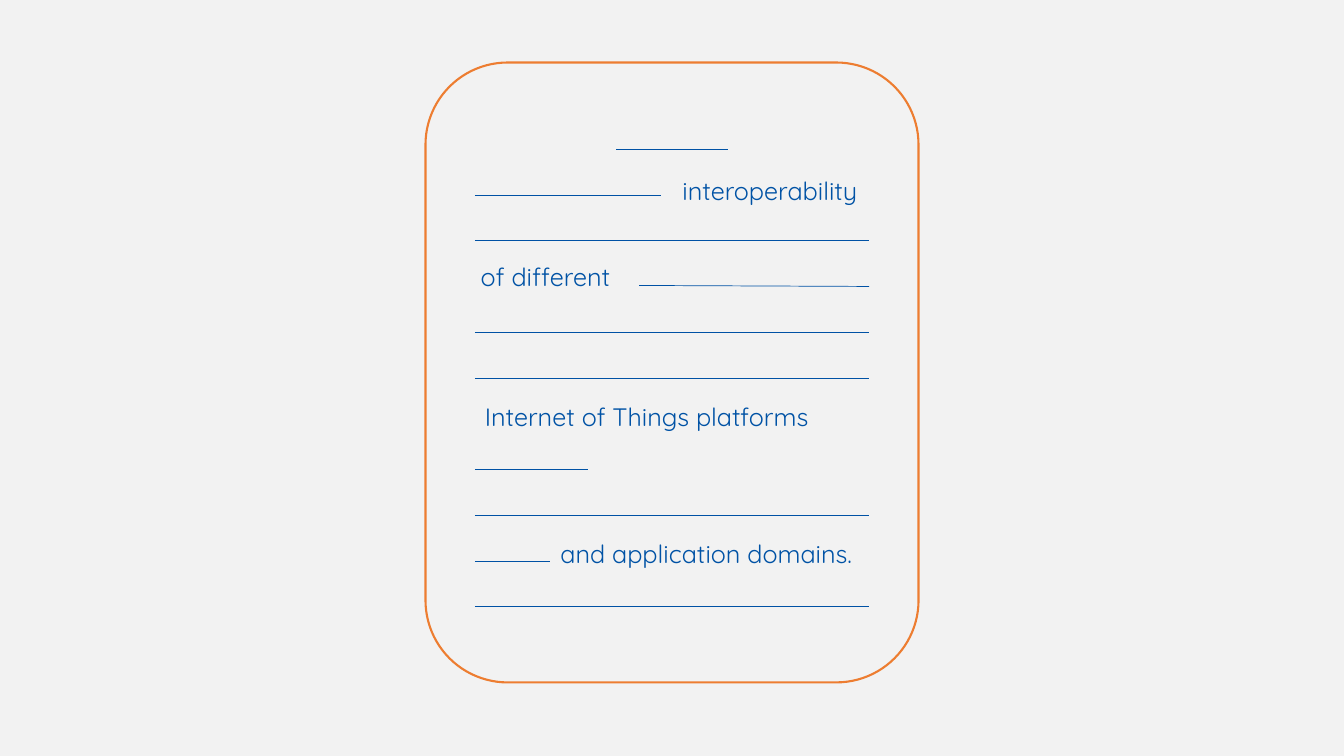
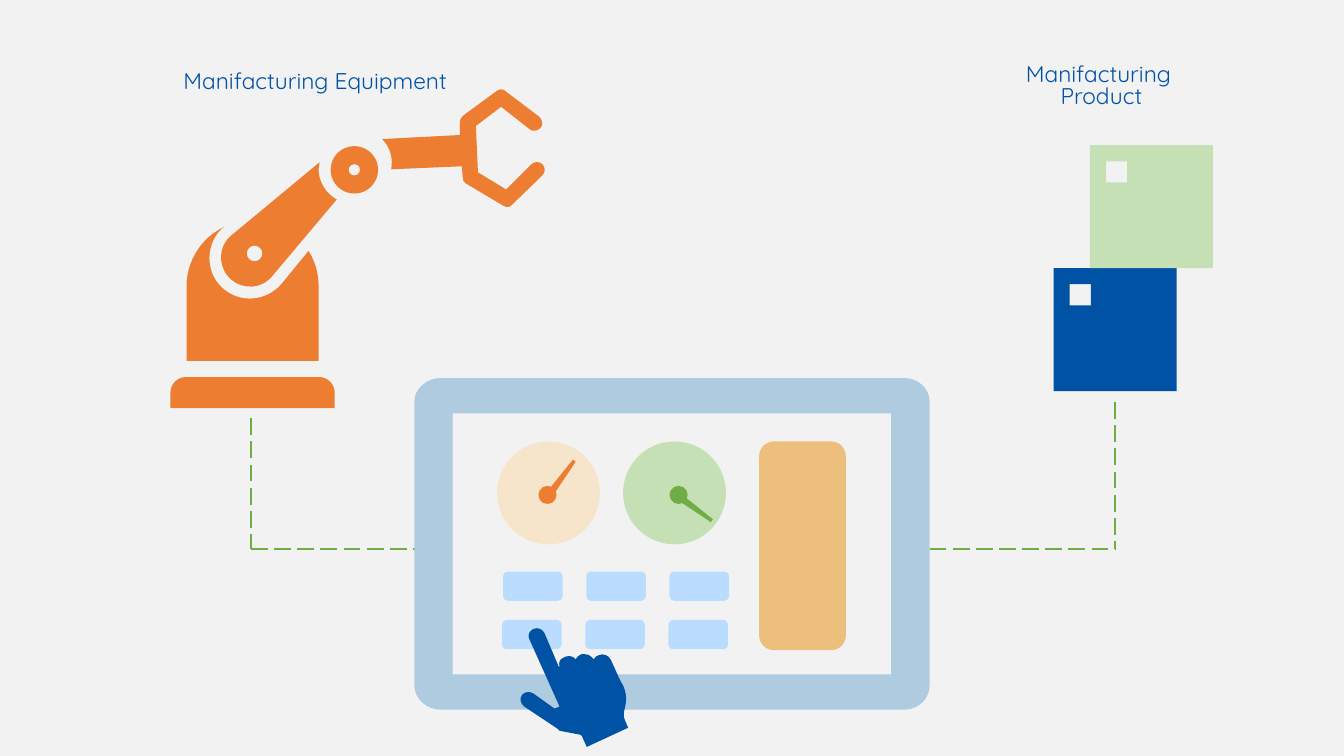
from lxml import etree
from pptx import Presentation
from pptx import util as u
from pptx.dml.color import RGBColor
from pptx.enum import dml, shapes, text
from pptx.oxml import ns

# Shared style
PAPER = RGBColor(0xF2, 0xF2, 0xF2)
BLUE = RGBColor(0x00, 0x52, 0xA5)
ORANGE = RGBColor(0xED, 0x7D, 0x31)
GREEN = RGBColor(0x70, 0xAD, 0x47)
PALE_GREEN = RGBColor(0xC5, 0xE0, 0xB4)
CREAM = RGBColor(0xF7, 0xE5, 0xCB)
SAND = RGBColor(0xEC, 0xBF, 0x7C)
STEEL = RGBColor(0xAF, 0xCB, 0xE0)
SKY = RGBColor(0xBA, 0xDC, 0xFF)
FONT = "Quicksand"
KIND = shapes.MSO_SHAPE

# Slide 1: a page of ruled rows, some partly filled with words
CARD = (4.22, 0.62, 4.89, 6.15)
PAGE_LEFT, PAGE_RIGHT = 4.71, 8.62
FIRST_RULE, RULE_GAP = 1.48, 0.454
RULES = [  # row, left, right, lift of the left end
    (0, 6.11, 7.22, 0), (1, PAGE_LEFT, 6.56, 0),
    (2, PAGE_LEFT, PAGE_RIGHT, 0), (3, 6.34, PAGE_RIGHT, 0.01),
    (4, PAGE_LEFT, PAGE_RIGHT, 0), (5, PAGE_LEFT, PAGE_RIGHT, 0),
    (7, PAGE_LEFT, 5.83, 0), (8, PAGE_LEFT, PAGE_RIGHT, 0),
    (9, PAGE_LEFT, 5.46, 0), (10, PAGE_LEFT, PAGE_RIGHT, 0),
]
PHRASES = [  # words, left, top, width
    ("interoperability", 6.67, 1.69, 2.03),
    ("Internet of Things platforms", 4.71, 3.93, 3.54),
    ("of different", 4.67, 2.54, 1.54),
    ("and application domains.", 5.46, 5.29, 3.54),
]

# Slide 2: equipment and product wired to a control tablet
LABELS = [  # lines, left, top
    (["Manifacturing Equipment"], 1.71, 0.55),
    (["Manifacturing ", "Product"], 9.51, 0.59),
]
WIRES = [  # start, end
    ((2.49, 5.45), (4.32, 5.45)), ((9.22, 5.45), (11.06, 5.45)),
    ((11.06, 3.99), (11.06, 5.45)), ((2.49, 4.15), (2.49, 5.45)),
]
GRIPPER = """M 5.02 .91 C 4.99 .88 4.96 .88 4.93 .9 L 4.59 1.15
 C 4.57 1.17 4.56 1.19 4.56 1.22 L 4.56 1.34 L 3.79 1.38
 C 3.87 1.46 3.9 1.57 3.88 1.68 L 4.58 1.65 L 4.59 1.76
 C 4.59 1.79 4.6 1.81 4.62 1.82 L 4.99 2.04 C 5.02 2.06 5.06 2.06 5.08 2.03
 L 5.38 1.74 C 5.41 1.71 5.41 1.66 5.38 1.63 C 5.35 1.6 5.3 1.6 5.27 1.63
 L 5.02 1.88 L 4.74 1.71 L 4.72 1.25 L 4.97 1.06 L 5.25 1.28
 C 5.28 1.31 5.33 1.3 5.36 1.27 C 5.39 1.24 5.38 1.19 5.35 1.16"""
BODY = """M 3.16 2.84 C 3.16 2.72 3.13 2.6 3.06 2.49 L 2.79 2.82
 C 2.64 2.99 2.39 3.01 2.22 2.87 C 2.05 2.73 2.03 2.47 2.17 2.3
 C 2.18 2.29 2.2 2.27 2.22 2.25 L 2.23 2.25 C 2 2.35 1.85 2.59 1.85 2.84
 L 1.85 3.58 L 3.16 3.58"""
FOREARM = """M 3.16 1.68 C 3.16 1.66 3.17 1.63 3.17 1.61 L 2.29 2.34
 C 2.17 2.44 2.16 2.62 2.26 2.74 C 2.36 2.86 2.54 2.88 2.66 2.78
 C 2.67 2.77 2.69 2.76 2.7 2.74 L 3.34 1.98 C 3.23 1.92 3.16 1.8 3.16 1.68
 M 2.58 2.57 C 2.55 2.6 2.5 2.6 2.47 2.57 C 2.44 2.54 2.44 2.49 2.47 2.46
 C 2.5 2.43 2.55 2.43 2.58 2.46 C 2.61 2.49 2.61 2.54 2.58 2.57"""
TABLET = """M 4.49 4.1 L 4.49 6.69 L 8.84 6.69 L 8.84 4.1
 M 4.37 3.75 L 8.97 3.75 C 9.11 3.75 9.22 3.86 9.22 3.98 L 9.22 6.8
 C 9.22 6.93 9.11 7.04 8.97 7.04 L 4.37 7.04 C 4.23 7.04 4.11 6.93 4.11 6.8
 L 4.11 3.98 C 4.11 3.86 4.23 3.75 4.37 3.75"""
HAND = """M 6.2 7.15 C 6.15 7.05 6.26 6.99 6.18 6.8
 C 6.15 6.76 6.09 6.61 6.06 6.55 C 6.04 6.5 5.98 6.48 5.94 6.5
 C 5.91 6.51 5.9 6.52 5.89 6.54 C 5.88 6.54 5.88 6.53 5.87 6.52
 C 5.85 6.5 5.83 6.49 5.8 6.49 C 5.76 6.48 5.73 6.51 5.71 6.54
 C 5.68 6.5 5.62 6.5 5.58 6.53 C 5.55 6.54 5.54 6.58 5.55 6.61
 C 5.55 6.62 5.54 6.62 5.54 6.61 L 5.4 6.28 C 5.38 6.24 5.33 6.22 5.29 6.24
 C 5.25 6.26 5.23 6.3 5.25 6.34 L 5.55 7.01 L 5.5 7.03 L 5.29 6.88
 C 5.26 6.86 5.21 6.86 5.18 6.89 C 5.15 6.93 5.16 6.98 5.2 7.01 L 5.53 7.23
 C 5.54 7.24 5.54 7.24 5.55 7.25 L 5.76 7.29 L 5.77 7.3 L 5.82 7.41
 L 6.23 7.22"""
BASE = (1.69, 3.74, 1.63, 0.31)
JOINT = (3.28, 1.45, 0.47, 0.47)
GAUGES = [  # dial left and colour, hub left, needle place, angle and colour
    (4.93, CREAM, 5.34, (5.54, 4.53), 36.3, ORANGE),
    (6.18, PALE_GREEN, 6.64, (6.86, 4.84), 126.3, GREEN),
]
DIAL_TOP, DIAL, HUB_TOP, HUB = 4.38, 1.02, 4.82, 0.18
NEEDLE_SIZE = (0.07, 0.41)
BUTTON_ROWS = [(4.99, 5.67), (4.98, 6.15)]
BUTTON_COLUMNS, BUTTON_PITCH = 3, 0.825
BUTTON_SIZE = (0.59, 0.29)
PANEL = (7.53, 4.38, 0.86, 2.07)
CRATES = [(10.45, 2.66, BLUE), (10.81, 1.44, PALE_GREEN)]
CRATE, WINDOW_INSET, WINDOW = 1.22, 0.16, 0.21


def inches(*lengths):
    return [u.Inches(length) for length in lengths]


def paint(shape, fill):
    shape.shadow.inherit = False
    shape.fill.solid()
    shape.fill.fore_color.rgb = fill
    shape.line.fill.background()


def add_preset(slide, kind, box, fill, turn=0):
    shape = slide.shapes.add_shape(kind, *inches(*box))
    paint(shape, fill)
    shape.rotation = turn
    return shape


def add_line(slide, start, end, colour, width, dash=None):
    line = slide.shapes.add_connector(
        shapes.MSO_CONNECTOR.STRAIGHT, *inches(*start, *end))
    line.line.color.rgb = colour
    line.line.width = u.Pt(width)
    if dash:
        line.line.dash_style = dash
    etree.SubElement(line._element.spPr, ns.qn("a:effectLst"))


def add_words(slide, lines, box, size, frame_format, paragraph_format):
    frame = slide.shapes.add_textbox(*inches(*box)).text_frame
    for name, value in frame_format.items():
        setattr(frame, name, value)
    frame.text = "\n".join(lines)
    for paragraph in frame.paragraphs:
        for name, value in paragraph_format.items():
            setattr(paragraph, name, value)
        font = paragraph.runs[0].font
        font.name, font.size, font.color.rgb = FONT, u.Pt(size), BLUE


def contours(outline):
    """Split M, L and C commands into contours of steps (lists of points)."""
    found, tokens = [], iter(outline.split())
    for command in tokens:
        step = [inches(float(next(tokens)), float(next(tokens)))
                for _ in range(3 if command == "C" else 1)]
        if command == "M":
            found.append([])
        found[-1].append(step)
    return found


def add_outline(slide, outline, fill):
    parts = contours(outline)
    builder = slide.shapes.build_freeform(*parts[0][0][-1])
    for index, part in enumerate(parts):
        if index:
            builder.move_to(*part[0][-1])
        builder.add_line_segments([step[-1] for step in part[1:]], close=True)
    shape = builder.convert_to_shape()
    paint(shape, fill)

    # Bend the segments that have control points
    nodes = [node for node in shape._element.iter(
        ns.qn("a:moveTo"), ns.qn("a:lnTo"))]
    for node, step in zip(nodes, [step for part in parts for step in part]):
        if len(step) == 3:
            node.tag = ns.qn("a:cubicBezTo")
            for index, (x, y) in enumerate(step[:2]):
                control = etree.Element(ns.qn("a:pt"))
                control.set("x", str(x - shape.left))
                control.set("y", str(y - shape.top))
                node.insert(index, control)


def square(left, top, side):
    right, bottom = left + side, top + side
    return (f"M {left} {top} L {left} {bottom} "
            f"L {right} {bottom} L {right} {top} ")


def build_page(slide):
    for row, left, right, lift in RULES:
        y = FIRST_RULE + row * RULE_GAP
        add_line(slide, (left, y - lift), (right, y), BLUE, 0.5)
    card = add_preset(slide, KIND.ROUNDED_RECTANGLE, CARD, PAPER)
    card.fill.background()
    card.line.color.rgb = ORANGE
    card.line.width = u.Pt(1.5)
    for words, left, top, width in PHRASES:
        add_words(slide, [words], (left, top, width, 0.4), 18,
                  {"word_wrap": False,
                   "auto_size": text.MSO_AUTO_SIZE.SHAPE_TO_FIT_TEXT}, {})


def build_factory(slide):
    # Wires
    for start, end in WIRES:
        add_line(slide, start, end, GREEN, 1.5, dml.MSO_LINE.LONG_DASH)

    # Robot arm
    for outline in (GRIPPER, BODY, FOREARM):
        add_outline(slide, outline, ORANGE)
    base = add_preset(slide, KIND.ROUND_2_SAME_RECTANGLE, BASE, ORANGE)
    base.adjustments[0] = 0.5
    joint = add_preset(slide, KIND.DONUT, JOINT, ORANGE)
    joint.adjustments[0] = 0.38

    # Tablet with gauges, buttons and panel
    add_outline(slide, TABLET, STEEL)
    for left, dial_fill, hub_left, needle, angle, needle_fill in GAUGES:
        add_preset(slide, KIND.OVAL, (left, DIAL_TOP, DIAL, DIAL), dial_fill)
        add_preset(slide, KIND.OVAL, (hub_left, HUB_TOP, HUB, HUB),
                   needle_fill)
        add_preset(slide, KIND.TRAPEZOID, needle + NEEDLE_SIZE, needle_fill,
                   angle)
    for left, top in BUTTON_ROWS:
        for column in range(BUTTON_COLUMNS):
            add_preset(slide, KIND.ROUNDED_RECTANGLE,
                       (left + column * BUTTON_PITCH, top) + BUTTON_SIZE, SKY)
    add_preset(slide, KIND.ROUNDED_RECTANGLE, PANEL, SAND)
    add_outline(slide, HAND, BLUE)

    # Labels
    for lines, left, top in LABELS:
        add_words(slide, lines, (left, top, 2.83, 0.55), 16.2,
                  {"word_wrap": True,
                   "vertical_anchor": text.MSO_ANCHOR.MIDDLE},
                  {"alignment": text.PP_ALIGN.CENTER, "line_spacing": 0.8})

    # Crates, each with a window cut out
    for left, top, fill in CRATES:
        window = square(left + WINDOW_INSET, top + WINDOW_INSET, WINDOW)
        add_outline(slide, square(left, top, CRATE) + window, fill)


def main():
    prs = Presentation()
    prs.slide_width, prs.slide_height = inches(13.33, 7.5)
    backdrop = prs.slide_master.background.fill
    backdrop.solid()
    backdrop.fore_color.rgb = PAPER
    for build in (build_page, build_factory):
        build(prs.slides.add_slide(prs.slide_layouts[6]))
    prs.save("out.pptx")


if __name__ == "__main__":
    main()
